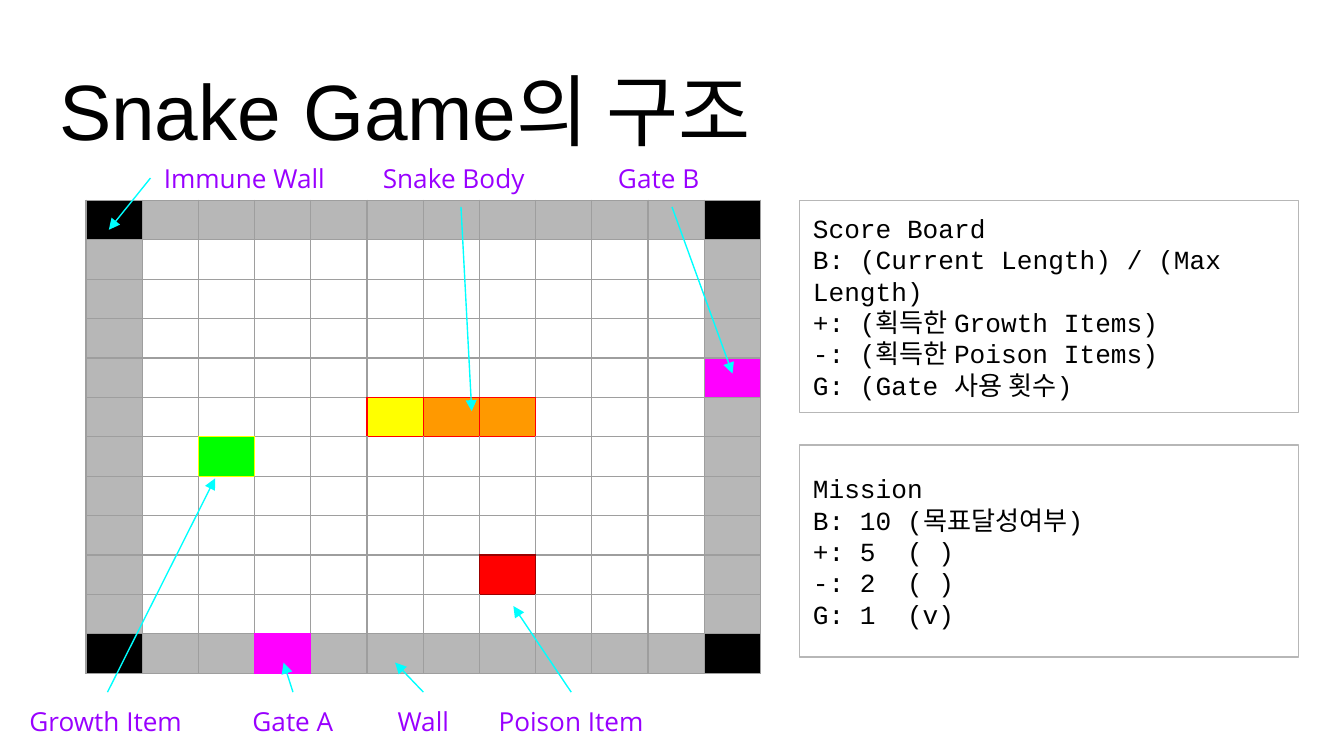
from lxml.etree import SubElement
from pptx import Presentation
from pptx.dml.color import RGBColor
from pptx.enum.shapes import MSO_CONNECTOR, MSO_SHAPE
from pptx.enum.text import MSO_ANCHOR, MSO_AUTO_SIZE, PP_ALIGN
from pptx.oxml.ns import qn
from pptx.util import Inches, Pt

COLORS = {
    "text": "000000", "label": "9900FF", "arrow": "00FFFF", "panel": "B7B7B7",
    "grid": "9E9E9E", "immune": "000000", "wall": "B7B7B7", "gate": "FF00FF",
    "head": "FFFF00", "body": "FF9900", "snake_edge": "FF0000",
    "growth": "00FF00", "growth_edge": "FFFF00",
    "poison": "FF0000", "poison_edge": "980000",
}
SLIDE_WIDTH = Inches(10)
SLIDE_HEIGHT = SLIDE_WIDTH * 9 // 16
BOARD_SIZE = 12
BOARD_LEFT, BOARD_TOP = 0.64, 1.49
CELL_WIDTH, CELL_HEIGHT = 5.02 / BOARD_SIZE, 3.52 / BOARD_SIZE
LABEL_HEIGHT = 0.43
TOP_ROW, BOTTOM_ROW = 1.11, 5.15
BOTTOM_SIDE, LEFT_SIDE, TOP_SIDE = 2, 1, 0
PANEL_LEFT, PANEL_WIDTH, PANEL_HEIGHT, PANEL_STEP = 5.95, 3.71, 1.58, 1.82

PIECES = {
    (4, 11): ("gate", "grid"),
    (11, 3): ("gate", "gate"),
    (5, 5): ("head", "snake_edge"),
    (5, 6): ("body", "snake_edge"),
    (5, 7): ("body", "snake_edge"),
    (6, 2): ("growth", "growth_edge"),
    (9, 7): ("poison", "poison_edge"),
}
LABELS = [
    ("Immune Wall", 1.12, TOP_ROW, 1.52, PP_ALIGN.LEFT, LEFT_SIDE, (0.81, 1.71)),
    ("Snake Body", 2.75, TOP_ROW, 1.36, PP_ALIGN.LEFT, BOTTOM_SIDE, (3.51, 3.06)),
    ("Gate B", 4.5, TOP_ROW, 1, PP_ALIGN.LEFT, BOTTOM_SIDE, (5.45, 2.78)),
    ("Growth Item", 0.12, BOTTOM_ROW, 1.36, PP_ALIGN.LEFT, TOP_SIDE, (1.6, 3.56)),
    ("Gate A", 1.78, BOTTOM_ROW, 0.8, PP_ALIGN.LEFT, TOP_SIDE, (2.11, 4.93)),
    ("Wall", 2.75, BOTTOM_ROW, 0.8, PP_ALIGN.CENTER, TOP_SIDE, (2.94, 4.93)),
    ("Poison Item", 3.57, BOTTOM_ROW, 1.36, PP_ALIGN.CENTER, TOP_SIDE, (3.82, 4.51)),
]
PANELS = [
    ["Score Board", "B: (Current Length) / (Max Length)", "+: (획득한 Growth Items)",
     "-: (획득한 Poison Items)", "G: (Gate 사용 횟수)"],
    ["Mission", "B: 10 (목표달성여부)", "+: 5  ( )", "-: 2  ( )", "G: 1  (v)"],
]


def color(name):
    return RGBColor.from_string(COLORS[name])


def box(left, top, width, height):
    return [Inches(length) for length in (left, top, width, height)]


def write_text(shape, lines, font="Open Sans", size=14, fill="text",
               align=PP_ALIGN.LEFT, anchor=MSO_ANCHOR.TOP):
    frame = shape.text_frame
    frame.word_wrap = True
    frame.auto_size = MSO_AUTO_SIZE.NONE
    frame.vertical_anchor = anchor
    frame.margin_left = frame.margin_right = Inches(0.1)
    frame.margin_top = frame.margin_bottom = Inches(0.1)
    for index, line in enumerate(lines):
        paragraph = frame.add_paragraph() if index else frame.paragraphs[0]
        paragraph.alignment = align
        run = paragraph.add_run()
        run.text = line
        run.font.name = font
        run.font.size = Pt(size)
        run.font.color.rgb = color(fill)


def add_title(slide, text):
    title = slide.shapes.title
    title.left, title.top, title.width, title.height = box(0.34, 0.35, 9.32, 0.91)
    write_text(title, [text], font="Arial", size=42, anchor=MSO_ANCHOR.BOTTOM)


def cell_fill(row, column):
    if (row, column) in PIECES:
        return PIECES[row, column][0]
    edges = sum(position in (0, BOARD_SIZE - 1) for position in (row, column))
    return (None, "wall", "immune")[edges]


def border_color(row, column, neighbour):
    for position in ((row, column), neighbour):
        edge = PIECES.get(position, (None, "grid"))[1]
        if edge != "grid":
            return edge
    return "grid"


def format_cell(cell, row, column):
    cell.margin_left = cell.margin_right = cell.margin_top = cell.margin_bottom = 0
    SubElement(cell.text_frame.paragraphs[0]._p, qn("a:endParaRPr"), sz="800")
    properties = cell._tc.get_or_add_tcPr()
    neighbours = {"a:lnL": (row, column - 1), "a:lnR": (row, column + 1),
                  "a:lnT": (row - 1, column), "a:lnB": (row + 1, column)}
    for tag, neighbour in neighbours.items():
        line = SubElement(properties, qn(tag), w=str(Pt(0.75)))
        solid = SubElement(line, qn("a:solidFill"))
        edge = border_color(row, column, neighbour)
        SubElement(solid, qn("a:srgbClr"), val=COLORS[edge])
    fill = cell_fill(row, column)
    if fill:
        cell.fill.solid()
        cell.fill.fore_color.rgb = color(fill)
    else:
        cell.fill.background()


def add_board(slide):
    area = box(BOARD_LEFT, BOARD_TOP, CELL_WIDTH * BOARD_SIZE, CELL_HEIGHT * BOARD_SIZE)
    table = slide.shapes.add_table(BOARD_SIZE, BOARD_SIZE, *area).table
    table.first_row = table.horz_banding = False
    for row in range(BOARD_SIZE):
        table.rows[row].height = Inches(CELL_HEIGHT)
        table.columns[row].width = Inches(CELL_WIDTH)
        for column in range(BOARD_SIZE):
            format_cell(table.cell(row, column), row, column)


def add_pointer(slide, label, side, target):
    end_x, end_y = (Inches(length) for length in target)
    arrow = slide.shapes.add_connector(
        MSO_CONNECTOR.STRAIGHT, label.left, label.top, end_x, end_y)
    arrow.begin_connect(label, side)
    arrow.line.color.rgb = color("arrow")
    arrow.line.width = Pt(0.75)
    SubElement(arrow.line._get_or_add_ln(), qn("a:tailEnd"), type="triangle")
    SubElement(arrow._element.spPr, qn("a:effectLst"))


def add_label(slide, text, left, top, width, align, side, target):
    label = slide.shapes.add_textbox(*box(left, top, width, LABEL_HEIGHT))
    write_text(label, [text], fill="label", align=align)
    add_pointer(slide, label, side, target)


def add_panel(slide, lines, top):
    panel = slide.shapes.add_shape(
        MSO_SHAPE.RECTANGLE, *box(PANEL_LEFT, top, PANEL_WIDTH, PANEL_HEIGHT))
    panel.shadow.inherit = False
    panel.fill.background()
    panel.line.color.rgb = color("panel")
    panel.line.width = Pt(0.75)
    write_text(panel, lines, font="Courier New", anchor=MSO_ANCHOR.MIDDLE)


def main():
    presentation = Presentation()
    presentation.slide_width = SLIDE_WIDTH
    presentation.slide_height = SLIDE_HEIGHT
    slide = presentation.slides.add_slide(presentation.slide_layouts[5])
    add_title(slide, "Snake Game의 구조")
    add_board(slide)
    for label in LABELS:
        add_label(slide, *label)
    for index, lines in enumerate(PANELS):
        add_panel(slide, lines, BOARD_TOP + index * PANEL_STEP)
    presentation.save("out.pptx")


if __name__ == "__main__":
    main()
